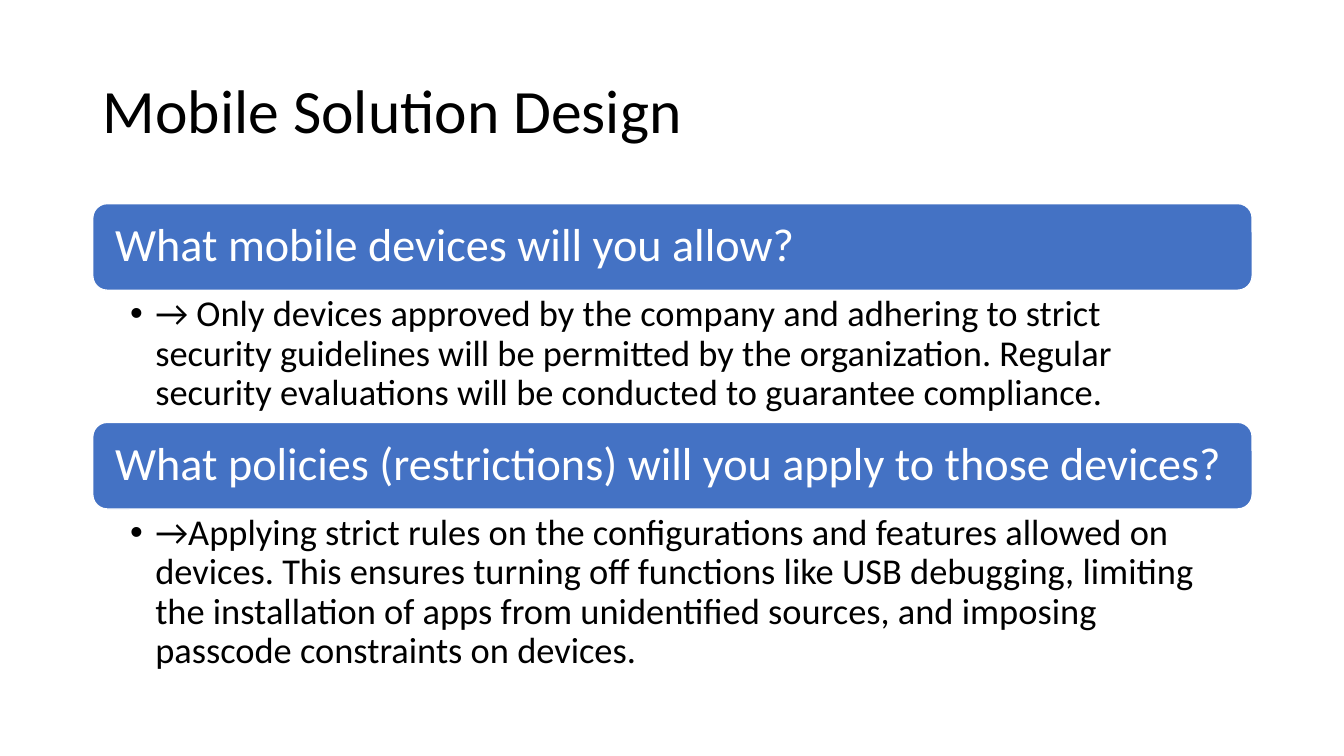
from pptx import Presentation
from pptx.dml.color import RGBColor
from pptx.enum.shapes import MSO_SHAPE as Shape
from pptx.enum.text import MSO_ANCHOR as Anchor, MSO_AUTO_SIZE as AutoSize, PP_ALIGN as Align
from pptx.oxml import parse_xml
from pptx.oxml.ns import nsdecls
from pptx.util import Pt

# Content
HEADING = "Mobile Solution Design"
TOPICS = [  # question, answer, answer height in px
    ("What mobile devices will you allow?",
     "→ Only devices approved by the company and adhering to strict security "
     "guidelines will be permitted by the organization. Regular security "
     "evaluations will be conducted to guarantee compliance.", 131),
    ("What policies (restrictions) will you apply to those devices?",
     "→Applying strict rules on the configurations and features allowed on "
     "devices. This ensures turning off functions like USB debugging, limiting "
     "the installation of apps from unidentified sources, and imposing "
     "passcode constraints on devices.", 168),
]

# Look and layout, 100 px to the inch
FONT = "Calibri"
BLACK = RGBColor(0x00, 0x00, 0x00)
WHITE = RGBColor(0xFF, 0xFF, 0xFF)
BLUE = RGBColor(0x44, 0x72, 0xC4)
EMU_PER_PX = 9144
LEFT, WIDTH = 92, 1150
HEADING_TOP, HEADING_HEIGHT = 40, 145
TOPICS_TOP, QUESTION_HEIGHT = 202, 86
BULLET_INDENT = 25


def px(length):
    return length * EMU_PER_PX


def place(shape, top, height):
    shape.left, shape.top = px(LEFT), px(top)
    shape.width, shape.height = px(WIDTH), px(height)


def write(shape, text, size, color=BLACK, anchor=Anchor.MIDDLE,
          insets=(10, 5, 10, 5), bullet=False):
    frame = shape.text_frame
    frame.word_wrap = True
    frame.auto_size = AutoSize.NONE
    frame.vertical_anchor = anchor
    (frame.margin_left, frame.margin_top,
     frame.margin_right, frame.margin_bottom) = map(px, insets)
    paragraph = frame.paragraphs[0]
    paragraph.alignment = Align.LEFT
    paragraph.line_spacing = 0.9
    paragraph.space_before = paragraph.space_after = Pt(0)
    if bullet:
        properties = paragraph._p.get_or_add_pPr()
        properties.set("marL", str(px(BULLET_INDENT)))
        properties.set("indent", str(-px(BULLET_INDENT)))
        properties.append(parse_xml(f'<a:buChar {nsdecls("a")} char="•"/>'))
    run = paragraph.add_run()
    run.text = text
    run.font.name, run.font.size = FONT, Pt(size)
    run.font.color.rgb = color


prs = Presentation()
prs.slide_width, prs.slide_height = px(1333), px(750)
slide = prs.slides.add_slide(prs.slide_layouts.get_by_name("Two Content"))

# Title
heading = slide.shapes.title
place(heading, HEADING_TOP, HEADING_HEIGHT)
write(heading, HEADING, 44)

# Question bars, each followed by its answer
top = TOPICS_TOP
for index, (question, answer, answer_height) in enumerate(TOPICS, start=1):
    bar = slide.shapes.add_shape(Shape.ROUNDED_RECTANGLE, 0, 0, 0, 0)
    place(bar, top, QUESTION_HEIGHT)
    bar.shadow.inherit = False
    bar.fill.solid()
    bar.fill.fore_color.rgb = BLUE
    bar.line.color.rgb = WHITE
    bar.line.width = Pt(1)
    write(bar, question, 33, color=WHITE, insets=(18, 14, 18, 14))
    top += QUESTION_HEIGHT

    reply = slide.placeholders[index]
    place(reply, top, answer_height)
    write(reply, answer, 26, anchor=Anchor.TOP, insets=(37, 5, 26, 5), bullet=True)
    top += answer_height

prs.save("out.pptx")
